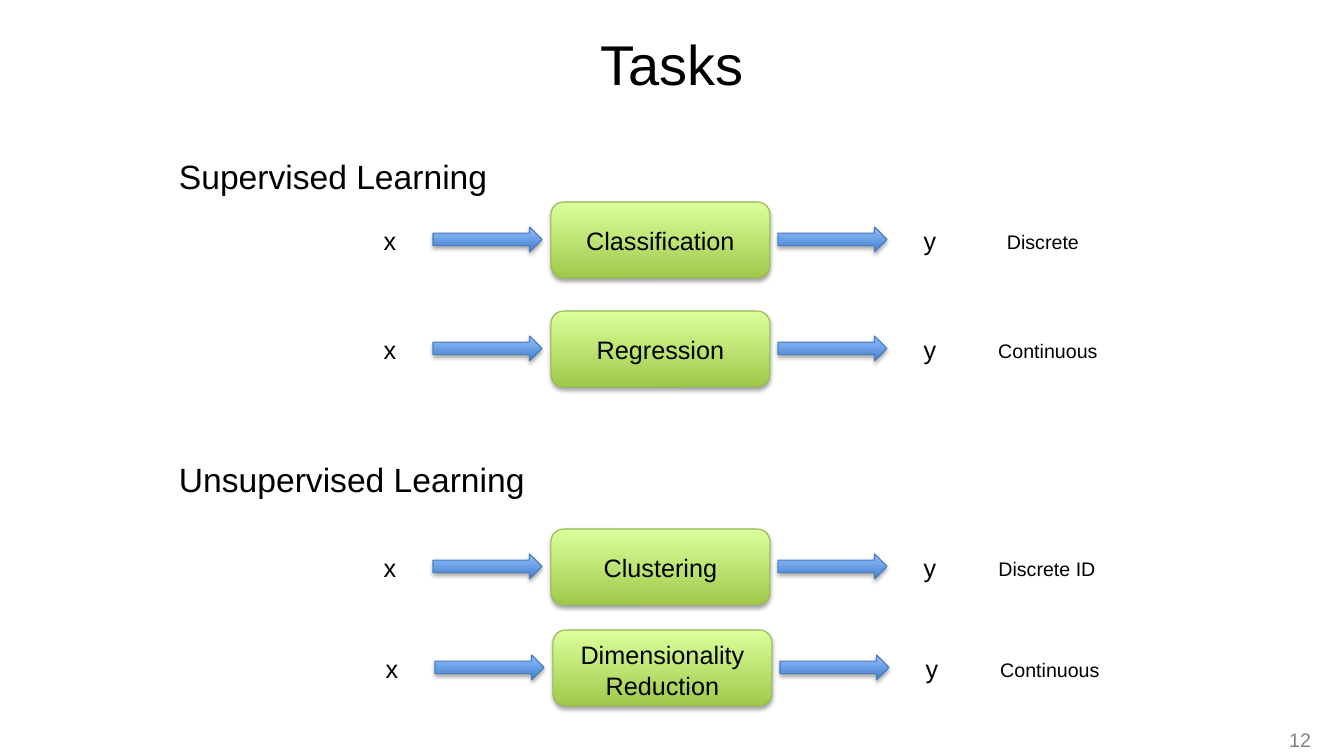
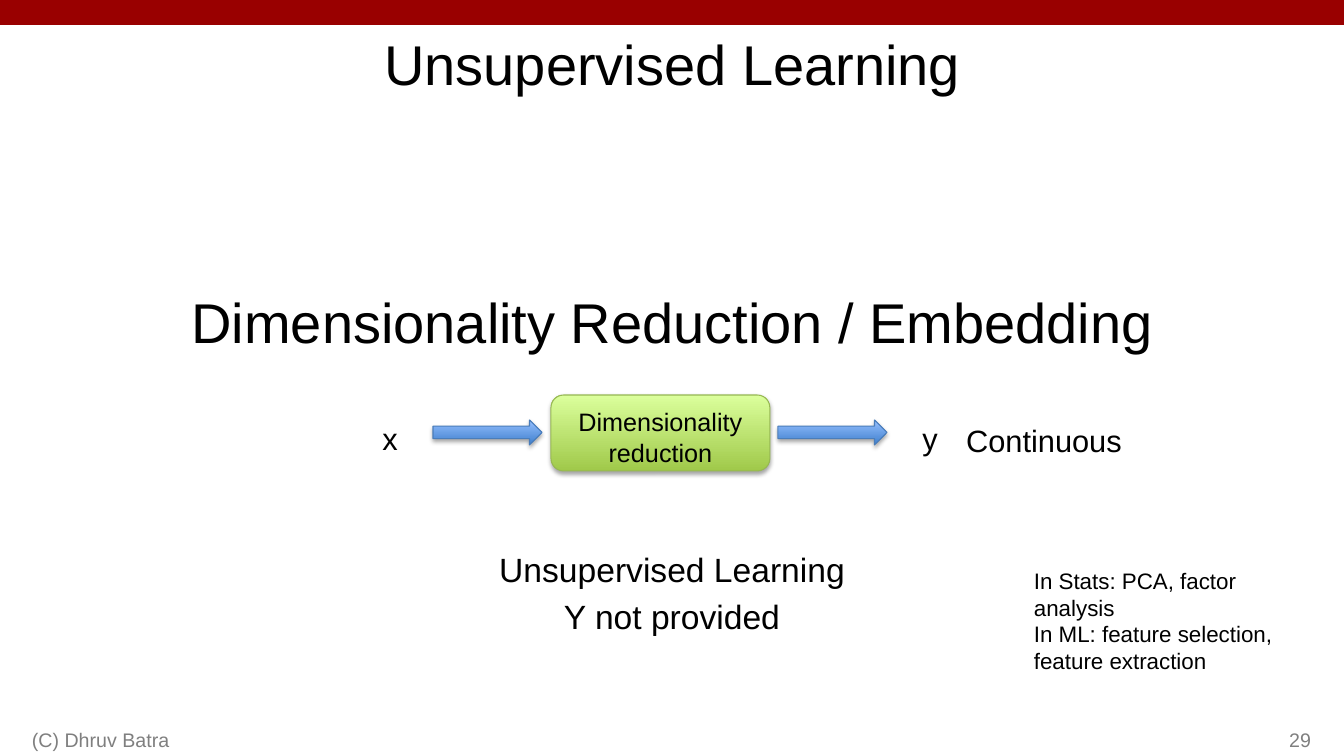
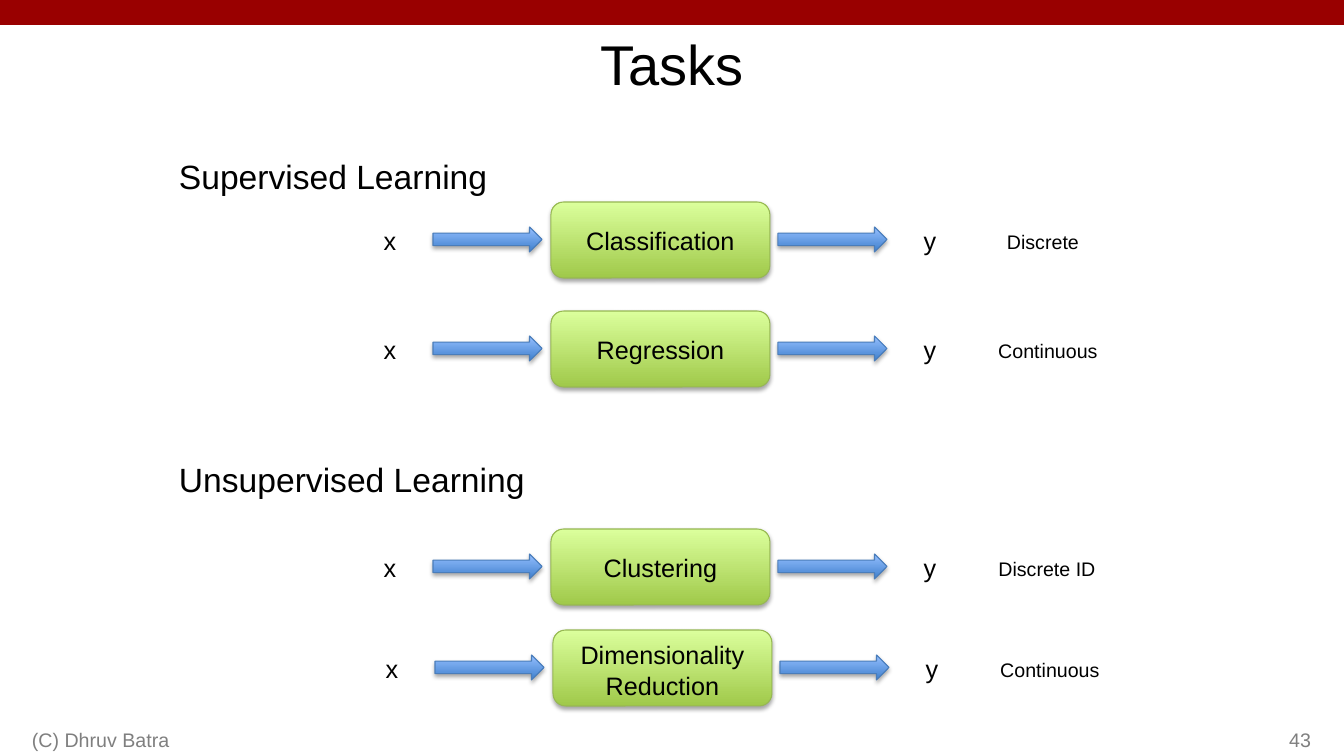
"""Build three slides on supervised and unsupervised learning tasks."""
from lxml import etree
from pptx import Presentation
from pptx import util as u
from pptx.dml.color import RGBColor
from pptx.enum import shapes, text
from pptx.oxml.ns import qn

SCALE = 914400 / 100.8
WIDTH, HEIGHT = 1344, 756
FONT = "Arial"
BLACK = RGBColor(0x00, 0x00, 0x00)
GREY = RGBColor(0x7F, 0x7F, 0x7F)
BAND_RED = RGBColor(0x99, 0x00, 0x00)
GREENS = RGBColor(0xA0, 0xC9, 0x4A), RGBColor(0xDB, 0xFF, 0x9C), RGBColor(0x97, 0xB8, 0x53)
BLUES = RGBColor(0x3E, 0x7F, 0xCD), RGBColor(0x96, 0xC0, 0xFF), RGBColor(0x4A, 0x7D, 0xBA)
LEFT, CENTER, RIGHT = text.PP_ALIGN.LEFT, text.PP_ALIGN.CENTER, text.PP_ALIGN.RIGHT
MIDDLE, BOTTOM = text.MSO_ANCHOR.MIDDLE, text.MSO_ANCHOR.BOTTOM

CREDIT = "(C) Dhruv Batra"
SECTIONS = [("Supervised Learning", 151), ("Unsupervised Learning", 454)]
TASKS = [
    dict(name="Classification", result="Discrete", top=202, result_center=1043),
    dict(name="Regression", result="Continuous", top=311),
    dict(name="Clustering", result="Discrete ID", top=529, result_center=1047),
    dict(name="Dimensionality Reduction", result="Continuous", top=630, shift=2, name_drop=2),
]
EMBEDDING = dict(name="Dimensionality reduction", result="Continuous", top=395,
                 result_center=1044, name_drop=4, label_drop=5, label_size=22, result_size=22)
HEADING = "Dimensionality Reduction / Embedding"
CAPTION = ["Unsupervised Learning", "Y not provided"]
NOTES = ["In Stats: PCA, factor analysis", "In ML: feature selection, feature extraction"]

BOX_LEFT, BOX_WIDTH, BOX_HEIGHT = 551, 219, 76
ARROW_LEFTS, ARROW_WIDTH, ARROW_HEIGHT = (433, 778), 109, 25
LABEL_CENTERS = {"x": 390, "y": 930}


def px(length):
    return u.Emu(round(length * SCALE))


def write(shape, lines, size, align=CENTER, anchor=MIDDLE, color=BLACK, space=0):
    frame = shape.text_frame
    frame.word_wrap = True
    frame.vertical_anchor = anchor
    for index, line in enumerate(lines):
        para = frame.add_paragraph() if index else frame.paragraphs[0]
        para.text = line
        para.alignment = align
        if index and space:
            para.space_before = u.Pt(space)
        para.font.name, para.font.size = FONT, u.Pt(size)
        para.font.color.rgb = color
    return frame


def add_text(slide, lines, bounds, size, **style):
    box = slide.shapes.add_textbox(*map(px, bounds))
    write(box, lines, size, **style)


def add_label(slide, label, center, middle, size):
    width, height = 180, 48
    add_text(slide, [label], (center - width / 2, middle - height / 2, width, height), size)


def add_glossy(slide, kind, bounds, colors):
    shape = slide.shapes.add_shape(kind, *map(px, bounds))
    dark, light, outline = colors
    shape.fill.gradient()
    shape.fill.gradient_angle = 90
    for stop, color in zip(shape.fill.gradient_stops, (dark, light)):
        stop.color.rgb = color
    shape.line.color.rgb = outline
    shape.line.width = u.Pt(0.75)
    shape.shadow.inherit = False
    effects = shape._element.spPr.find(qn("a:effectLst"))
    shadow = etree.SubElement(effects, qn("a:outerShdw"), blurRad=str(u.Pt(3.1)),
                              dist=str(u.Pt(1.8)), dir="5400000", rotWithShape="0")
    tint = etree.SubElement(shadow, qn("a:srgbClr"), val=str(BLACK))
    etree.SubElement(tint, qn("a:alpha"), val="35000")
    return shape


def add_task(slide, name, result, top, result_center=1048, shift=0, name_drop=0,
             label_drop=0, label_size=18, result_size=14):
    box = add_glossy(slide, shapes.MSO_SHAPE.ROUNDED_RECTANGLE,
                     (BOX_LEFT + shift, top, BOX_WIDTH, BOX_HEIGHT), GREENS)
    frame = write(box, [name], 18)
    frame.margin_top = px(5 + 2 * name_drop)
    for left in ARROW_LEFTS:
        add_glossy(slide, shapes.MSO_SHAPE.RIGHT_ARROW,
                   (left + shift, top + 25, ARROW_WIDTH, ARROW_HEIGHT), BLUES)
    middle = top + BOX_HEIGHT / 2 + label_drop
    for label, center in LABEL_CENTERS.items():
        add_label(slide, label, center + shift, middle, label_size)
    add_label(slide, result, result_center + shift, middle + 2, result_size)


def add_page(deck, title, number, branded=True):
    slide = deck.slides.add_slide(deck.slide_layouts[6])
    if branded:
        band = slide.shapes.add_shape(shapes.MSO_SHAPE.RECTANGLE, 0, 0, px(WIDTH), px(25))
        band.fill.solid()
        band.fill.fore_color.rgb = BAND_RED
        band.line.fill.background()
        band.shadow.inherit = False
        add_text(slide, [CREDIT], (22, 706, 425, 50), 14, align=LEFT, anchor=BOTTOM, color=GREY)
    add_text(slide, [title], (101, 25, 1142, 76), 40)
    add_text(slide, [str(number)], (1041, 706, 280, 50), 14, align=RIGHT, anchor=BOTTOM, color=GREY)
    return slide


def add_tasks_page(deck, number, branded=True):
    slide = add_page(deck, "Tasks", number, branded)
    for task in TASKS:
        add_task(slide, **task)
    for section, top in SECTIONS:
        add_text(slide, [section], (169, top, 380, 50), 24, align=LEFT)


def add_embedding_page(deck, number):
    slide = add_page(deck, "Unsupervised Learning", number)
    add_text(slide, [HEADING], (168, 282, 1008, 78), 40)
    add_task(slide, **EMBEDDING)
    add_text(slide, CAPTION, (168, 543, 1008, 100), 24, space=4.8)
    add_text(slide, NOTES, (1024, 556, 290, 129), 16, align=LEFT)


def main():
    deck = Presentation()
    deck.slide_width, deck.slide_height = px(WIDTH), px(HEIGHT)
    add_tasks_page(deck, 12, branded=False)
    add_embedding_page(deck, 29)
    add_tasks_page(deck, 43)
    deck.save("out.pptx")


if __name__ == "__main__":
    main()
